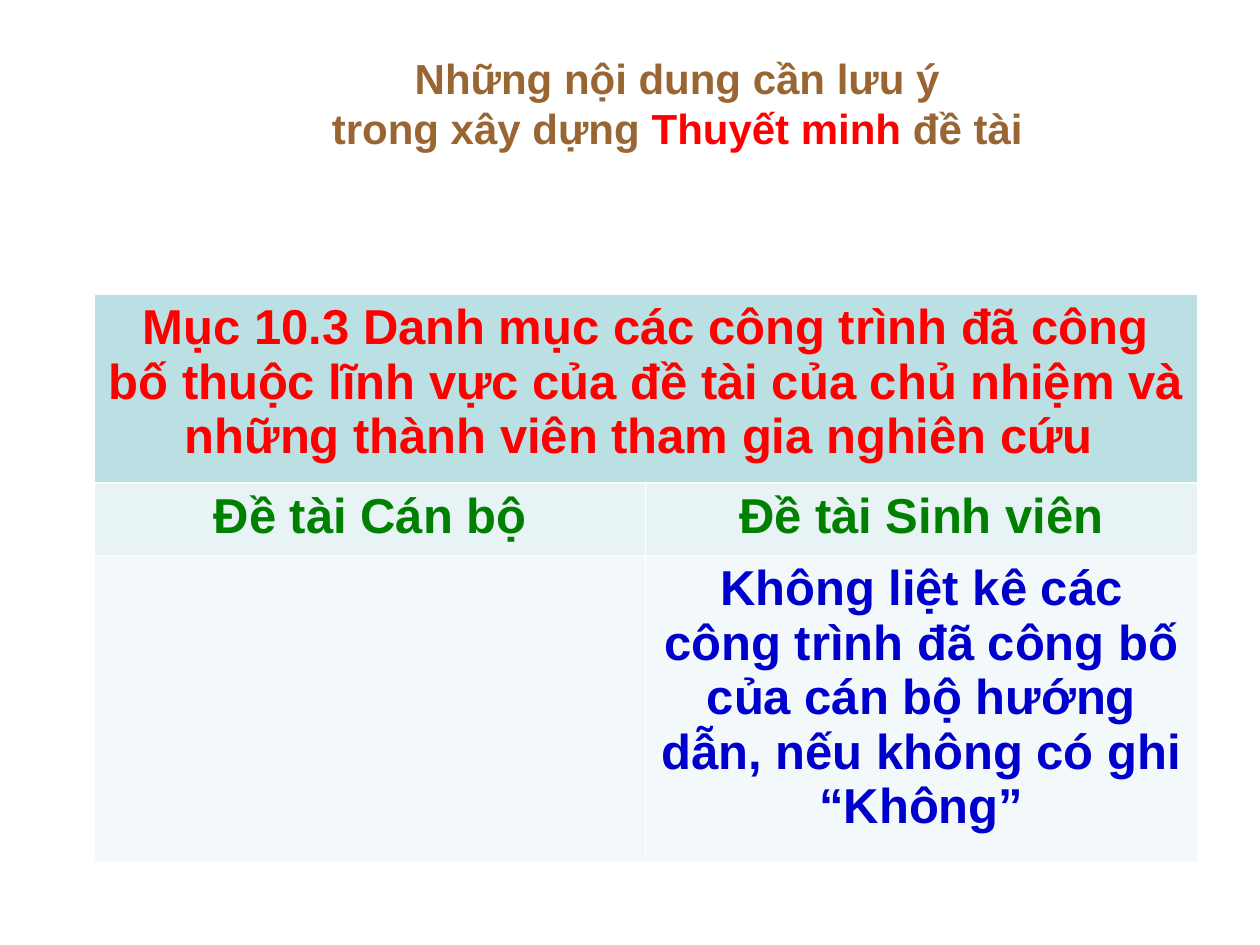
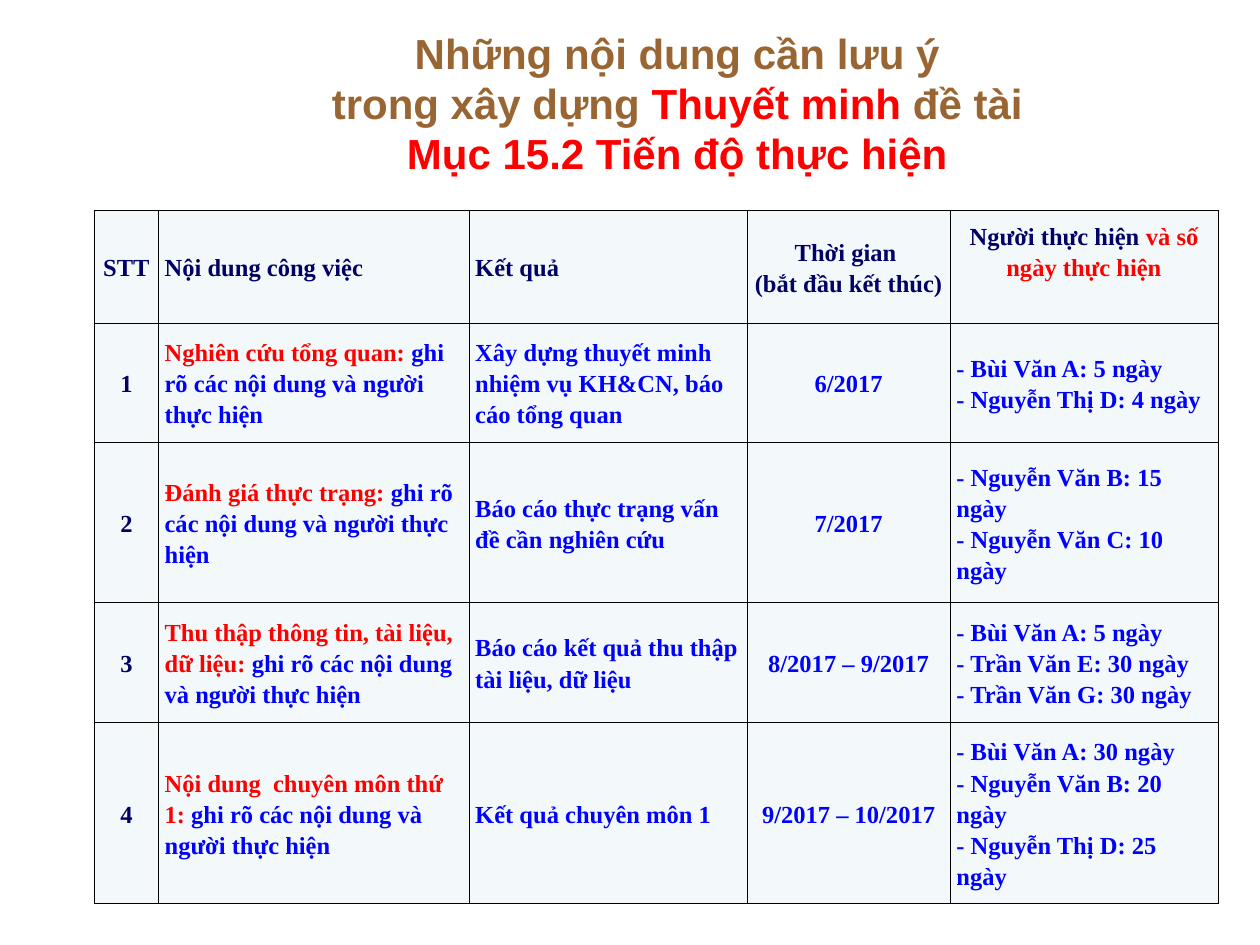
import pptx
import pptx.dml.color
import pptx.enum.text
import pptx.oxml
import pptx.oxml.ns
import pptx.util

Pt = pptx.util.Pt
CENTER = pptx.enum.text.PP_ALIGN.CENTER
LEFT = pptx.enum.text.PP_ALIGN.LEFT
TOP = pptx.enum.text.MSO_ANCHOR.TOP
MIDDLE = pptx.enum.text.MSO_ANCHOR.MIDDLE

BROWN, RED, GREEN, NAVY = "996633", "FF0000", "008000", "000066"
DEEP_BLUE, BLUE, WHITE, BLACK = "0000CC", "0000FF", "FFFFFF", "000000"
TEAL, PALE_TEAL, PALEST = "BBE0E3", "E7F3F4", "F3F9FA"

TITLE_BOX = (90, 21.6, 594, 74.2)
TITLE = [("Những nội dung cần lưu ý", BROWN), ("\n", BROWN), ("trong xây dựng ", BROWN),
         ("Thuyết minh ", RED), ("đề tài", BROWN)]
DETAIL = "ghi rõ các nội dung và người thực hiện"

SCHEDULE_HEADS = [
    [[("STT", NAVY)]],
    [[("Nội dung công việc", NAVY)]],
    [[("Kết quả", NAVY)]],
    [[("Thời gian ", NAVY)], [("(bắt đầu kết thúc)", NAVY)]],
    [[("Người thực hiện ", NAVY), ("và số ngày thực hiện", RED)]],
]
TASKS = [
    ("Nghiên cứu tổng quan: ", "Xây dựng thuyết minh nhiệm vụ KH&CN, báo cáo tổng quan",
     "6/2017", ["Bùi Văn A: 5 ngày", "Nguyễn Thị D: 4 ngày"]),
    ("Đánh giá thực trạng: ", "Báo cáo thực trạng vấn đề cần nghiên cứu",
     "7/2017", ["Nguyễn Văn B: 15 ngày", "Nguyễn Văn C: 10 ngày"]),
    ("Thu thập thông tin, tài liệu, dữ liệu: ", "Báo cáo kết quả thu thập tài liệu, dữ liệu",
     "8/2017 – 9/2017",
     ["Bùi Văn A: 5 ngày", "Trần Văn E: 30 ngày", "Trần Văn G: 30 ngày"]),
    ("Nội dung  chuyên môn thứ 1: ", "Kết quả chuyên môn 1", "9/2017 – 10/2017",
     ["Bùi Văn A: 30 ngày", "Nguyễn Văn B: 20 ngày", "Nguyễn Thị D: 25 ngày"]),
]


def rgb(hex_color):
    return pptx.dml.color.RGBColor.from_string(hex_color)


def write(frame, paragraphs, font, size, align, spacing=1.0):
    """Fill a frame with paragraphs, each a list of (text, colour) runs."""
    for i, runs in enumerate(paragraphs):
        paragraph = frame.add_paragraph() if i else frame.paragraphs[0]
        paragraph.alignment = align
        paragraph.line_spacing = spacing
        paragraph.font.name, paragraph.font.size = font, Pt(size)
        paragraph.font.bold = True
        for text, color in runs:
            if text == "\n":
                paragraph.add_line_break()
                continue
            run = paragraph.add_run()
            run.text = text
            run.font.color.rgb = rgb(color)


def add_title(slide, box, runs):
    frame = slide.shapes.add_textbox(*map(Pt, box)).text_frame
    frame.word_wrap = True
    frame.vertical_anchor = MIDDLE
    write(frame, [runs], "Arial", 24, CENTER)


def add_plain_table(slide, left, top, widths, heights):
    table = slide.shapes.add_table(len(heights), len(widths), Pt(left), Pt(top),
                                   Pt(sum(widths)), Pt(sum(heights))).table
    table.first_row = table.horz_banding = False
    for column, width in zip(table.columns, widths):
        column.width = Pt(width)
    for row, height in zip(table.rows, heights):
        row.height = Pt(height)
    return table


def style_cell(cell, fill, border, widths, margins, anchor):
    """Set fill, inner margins (x, y) and border widths (left, right, top, bottom)."""
    cell.fill.solid()
    cell.fill.fore_color.rgb = rgb(fill)
    cell.margin_left = cell.margin_right = Pt(margins[0])
    cell.margin_top = cell.margin_bottom = Pt(margins[1])
    cell.vertical_anchor = anchor
    properties = cell._tc.get_or_add_tcPr()
    for i, (side, width) in enumerate(zip("LRTB", widths)):
        properties.insert(i, pptx.oxml.parse_xml(
            f'<a:ln{side} {pptx.oxml.ns.nsdecls("a")} w="{int(Pt(width))}">'
            f'<a:solidFill><a:srgbClr val="{border}"/></a:solidFill></a:ln{side}>'))


def add_publications(slide, left, top):
    table = add_plain_table(slide, left, top, [315, 315], [107.5, 41, 175.5])
    table.cell(0, 0).merge(table.cell(0, 1))
    texts = [
        [("Mục 10.3 Danh mục các công trình đã công bố thuộc lĩnh vực của đề tài "
          "của chủ nhiệm và những thành viên tham gia nghiên cứu ", RED), None],
        [("Đề tài Cán bộ", GREEN), ("Đề tài Sinh viên", GREEN)],
        [None, ("Không liệt kê các công trình đã công bố của cán bộ hướng dẫn, "
                "nếu không có ghi “Không”", DEEP_BLUE)],
    ]
    thin, thick = 0.45, 1.47
    fills = [TEAL, PALE_TEAL, PALEST]
    edges = [(thin, thin, thin, thick), (thin, thin, thick, thin), (thin,) * 4]
    for r, row in enumerate(texts):
        for c, run in enumerate(row):
            cell = table.cell(r, c)
            style_cell(cell, fills[r], WHITE, edges[r], (7.2, 3.6), TOP)
            if run:
                write(cell.text_frame, [[run]], "Arial", 28, CENTER)


def add_schedule(slide, left, top):
    table = add_plain_table(slide, left, top, [36.5, 177.5, 159, 116, 153],
                            [60.5, 68.4, 91.4, 68.4, 97.2])
    rows = [SCHEDULE_HEADS]
    for number, (task, result, period, people) in enumerate(TASKS, 1):
        rows.append([
            [[(str(number), NAVY)]],
            [[(task, RED), (DETAIL, BLUE)]],
            [[(result, BLUE)]],
            [[(period, BLUE)]],
            [[(f"- {person}", BLUE)] for person in people],
        ])
    for r, row in enumerate(rows):
        for c, paragraphs in enumerate(row):
            cell = table.cell(r, c)
            style_cell(cell, PALEST, BLACK, (0.23,) * 4, (3.6, 3.6), MIDDLE)
            centered = c in (0, 3) or (r, c) == (0, 4)
            write(cell.text_frame, paragraphs, "Times New Roman", 14,
                  CENTER if centered else LEFT, 1.15)
    table.cell(0, 4).margin_bottom = Pt(22)


def main():
    deck = pptx.Presentation()
    deck.slide_width, deck.slide_height = Pt(720), Pt(540)
    blank = deck.slide_layouts[6]

    publications = deck.slides.add_slide(blank)
    add_title(publications, TITLE_BOX, TITLE)
    add_publications(publications, 54, 168)

    schedule = deck.slides.add_slide(blank)
    add_title(schedule, TITLE_BOX,
              TITLE + [("\n", RED), ("Mục 15.2 Tiến độ thực hiện", RED)])
    add_schedule(schedule, 54, 120.2)

    deck.save("out.pptx")


if __name__ == "__main__":
    main()
